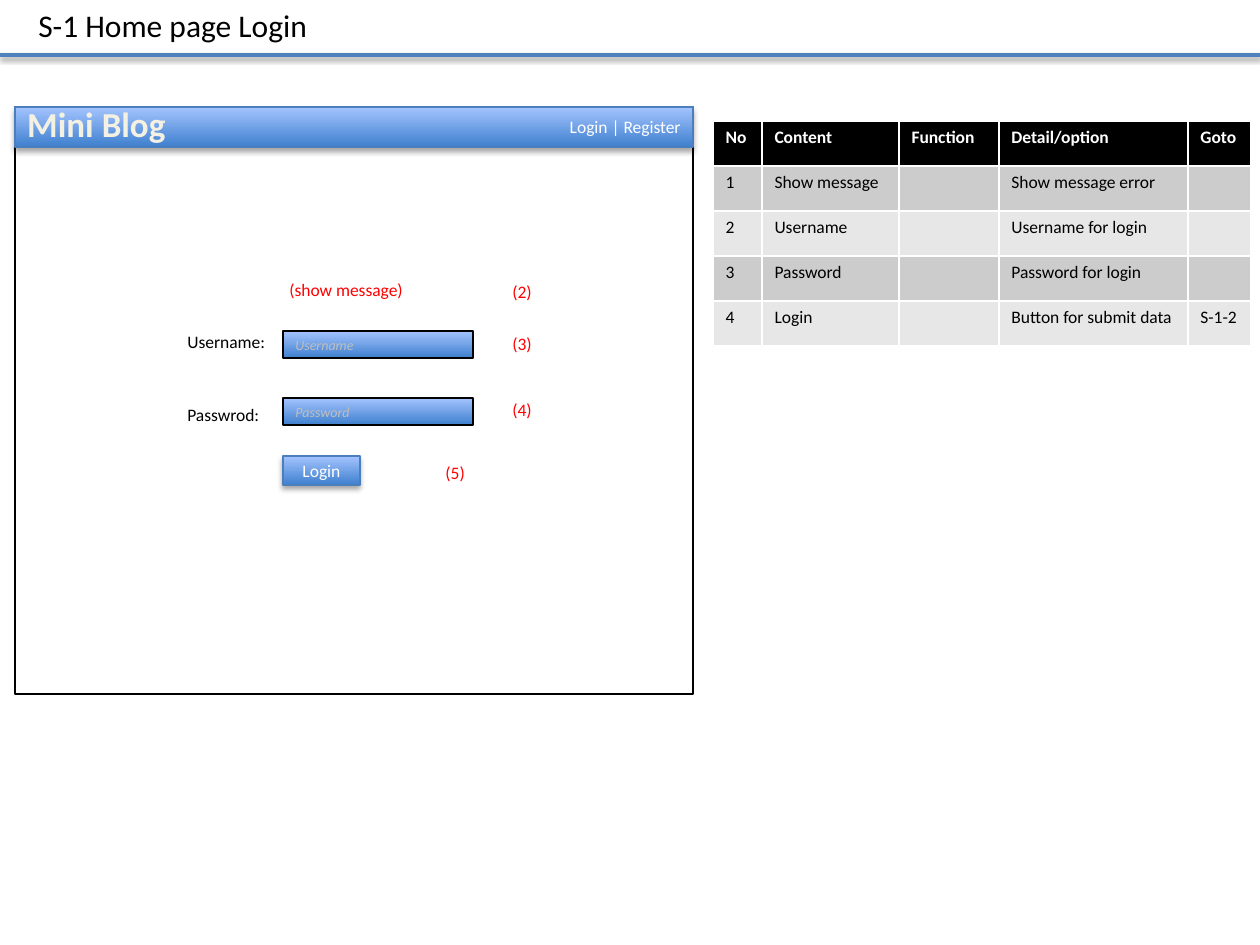
from dataclasses import dataclass

from lxml.etree import SubElement
from pptx import Presentation
from pptx.dml.color import RGBColor
from pptx.enum.shapes import MSO_CONNECTOR, MSO_SHAPE
from pptx.enum.text import MSO_ANCHOR, MSO_AUTO_SIZE, PP_ALIGN
from pptx.oxml.ns import qn
from pptx.shapes.autoshape import Shape
from pptx.slide import Slide
from pptx.text.text import _Paragraph as Paragraph
from pptx.util import Emu, Pt

FONT = "Calibri"
BLACK, WHITE, RED = "000000", "FFFFFF", "FF0000"
BUTTON_LINE = "4B7EBC"
GRADIENT = ("3F80CE", "A4C4FF")


@dataclass
class Label:
    text: str
    left: int
    top: int
    width: int
    height: int = 34
    color: str = BLACK
    size: int = 10
    bold: bool = False
    align: PP_ALIGN = PP_ALIGN.LEFT


@dataclass
class Box:
    text: str
    left: int
    top: int
    width: int
    height: int
    line: str = BUTTON_LINE
    color: str = WHITE
    size: int = 10
    italic: bool = False
    align: PP_ALIGN = PP_ALIGN.LEFT
    gradient: bool = True
    shadow: bool = False


def px(pixels: int) -> Emu:
    return Emu(round(pixels * 914400 / 126))


def rgb(value: str) -> RGBColor:
    return RGBColor.from_string(value)


def write(paragraph: Paragraph, text: str, size: int, color: str,
          bold: bool = False, italic: bool = False) -> None:
    if text:
        paragraph.add_run().text = text
    font = paragraph.font
    font.name, font.size = FONT, Pt(size)
    font.bold, font.italic = bold, italic
    font.color.rgb = rgb(color)


def add_shadow(properties, distance: float, opacity: int) -> None:
    effects = properties.find(qn("a:effectLst"))
    if effects is None:
        effects = SubElement(properties, qn("a:effectLst"))
    shadow = SubElement(effects, qn("a:outerShdw"), blurRad=str(Pt(3.1)),
                        dist=str(Pt(distance)), dir="5400000", rotWithShape="0")
    color = SubElement(shadow, qn("a:srgbClr"), val=BLACK)
    SubElement(color, qn("a:alpha"), val=str(opacity * 1000))


def add_label(slide: Slide, label: Label) -> Shape:
    shape = slide.shapes.add_textbox(px(label.left), px(label.top),
                                     px(label.width), px(label.height))
    frame = shape.text_frame
    frame.word_wrap = False
    frame.auto_size = MSO_AUTO_SIZE.SHAPE_TO_FIT_TEXT
    paragraph = frame.paragraphs[0]
    paragraph.alignment = label.align
    write(paragraph, label.text, label.size, label.color, label.bold)
    return shape


def add_box(slide: Slide, box: Box) -> None:
    shape = slide.shapes.add_shape(MSO_SHAPE.RECTANGLE, px(box.left), px(box.top),
                                   px(box.width), px(box.height))
    if box.gradient:
        shape.fill.gradient()
        shape.fill.gradient_angle = 90
        for position, (stop, color) in enumerate(zip(shape.fill.gradient_stops, GRADIENT)):
            stop.position = position
            stop.color.rgb = rgb(color)
    else:
        shape.fill.solid()
        shape.fill.fore_color.rgb = rgb(WHITE)
    shape.line.color.rgb = rgb(box.line)
    shape.line.width = Pt(0.75)
    shape.shadow.inherit = False
    if box.shadow:
        add_shadow(shape._element.spPr, 1.8, 35)
    if box.text:
        frame = shape.text_frame
        frame.vertical_anchor = MSO_ANCHOR.MIDDLE
        paragraph = frame.paragraphs[0]
        paragraph.alignment = box.align
        write(paragraph, box.text, box.size, box.color, italic=box.italic)


def add_function_table(slide: Slide) -> None:
    rows = [
        ("No", "Content", "Function", "Detail/option", "Goto"),
        ("1", "Show message", "", "Show message error", ""),
        ("2", "Username", "", "Username for login", ""),
        ("3", "Password", "", "Password for login", ""),
        ("4", "Login", "", "Button for submit data", "S-1-2"),
    ]
    widths, row_height = (49, 137, 100, 189, 63), 45
    table = slide.shapes.add_table(len(rows), len(widths), px(713), px(121),
                                   px(sum(widths)), px(row_height * len(rows))).table
    for column, width in zip(table.columns, widths):
        column.width = px(width)
    for row_index, values in enumerate(rows):
        table.rows[row_index].height = px(row_height)
        header = row_index == 0
        fill = BLACK if header else ("E7E7E7", "CCCCCC")[row_index % 2]
        for column_index, text in enumerate(values):
            cell = table.cell(row_index, column_index)
            cell.fill.solid()
            cell.fill.fore_color.rgb = rgb(fill)
            write(cell.text_frame.paragraphs[0], text, 10,
                  WHITE if header else BLACK, bold=header)


presentation = Presentation()
presentation.slide_width, presentation.slide_height = px(1260), px(945)
slide = presentation.slides.add_slide(presentation.slide_layouts[6])

# Title and rule
rule = slide.shapes.add_connector(MSO_CONNECTOR.STRAIGHT, 0, px(55), px(1260), px(55))
rule.line.color.rgb = rgb("4F81BD")
rule.line.width = Pt(2)
add_shadow(rule._element.spPr, 1.6, 38)
add_label(slide, Label("S-1 Home page Login", 26, 0, 297, 50, size=18))

# Page frame and function table
add_box(slide, Box("", 15, 107, 678, 587, line=BLACK, gradient=False))
add_function_table(slide)

# Page header
add_box(slide, Box("Login | Register", 15, 107, 678, 40,
                   align=PP_ALIGN.RIGHT, shadow=True))
brand = add_label(slide, Label("Mini Blog", 14, 96, 165, 55, "F4F1E3", 20, True,
                               PP_ALIGN.CENTER))
run_properties = brand.text_frame.paragraphs[0].runs[0]._r.get_or_add_rPr()
outline = SubElement(run_properties, qn("a:ln"), w=str(Pt(1)))
outline_fill = SubElement(outline, qn("a:solidFill"))
SubElement(outline_fill, qn("a:srgbClr"), val="054697")

# Login form
for name, top in (("Username", 331), ("Password", 398)):
    add_box(slide, Box(name, 283, top, 190, 27, line=BLACK, color="BFBFBF",
                       size=8, italic=True))
add_box(slide, Box("Login", 283, 456, 77, 29, align=PP_ALIGN.CENTER, shadow=True))

# Field names, message and reference numbers
for form_label in (
    Label("Username:", 175, 325, 105),
    Label("Passwrod:", 175, 398, 100),
    Label("(show message)", 277, 273, 141, color=RED),
    Label("(2)", 500, 275, 45, color=RED),
    Label("(3)", 500, 327, 45, color=RED),
    Label("(4)", 500, 393, 45, color=RED),
    Label("(5)", 433, 456, 45, color=RED),
):
    add_label(slide, form_label)

presentation.save("out.pptx")
